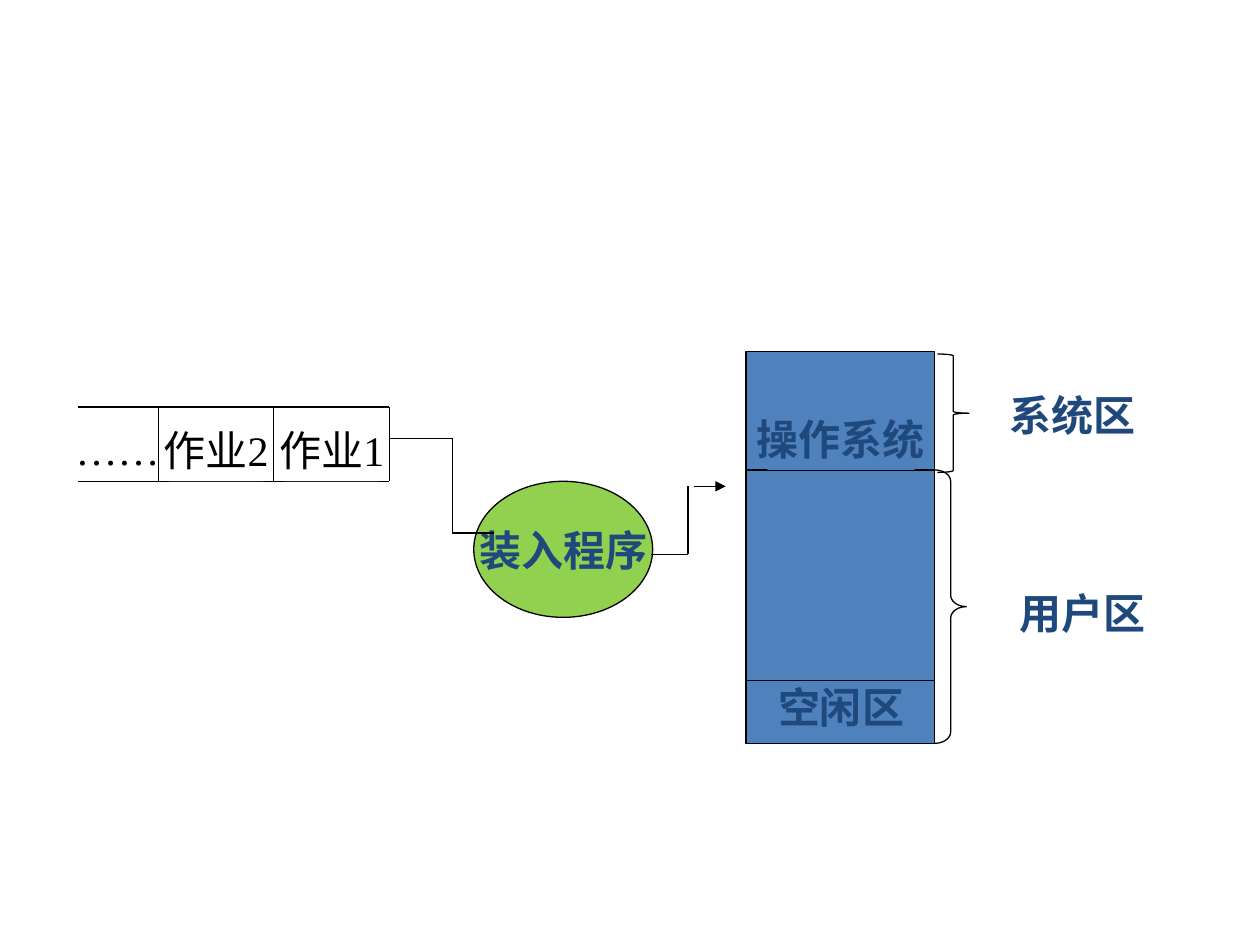
from lxml import etree
from pptx import Presentation
from pptx.dml.color import RGBColor
from pptx.enum.shapes import MSO_CONNECTOR, MSO_SHAPE
from pptx.enum.text import MSO_ANCHOR, PP_ALIGN
from pptx.oxml.ns import qn
from pptx.util import Inches, Pt

BLACK = RGBColor(0x00, 0x00, 0x00)
WHITE = RGBColor(0xFF, 0xFF, 0xFF)
NAVY = RGBColor(0x1F, 0x49, 0x7D)
BLUE = RGBColor(0x4F, 0x81, 0xBD)
GREEN = RGBColor(0x92, 0xD0, 0x50)
STRAIGHT = MSO_CONNECTOR.STRAIGHT
RECTANGLE = MSO_SHAPE.RECTANGLE
OVAL = MSO_SHAPE.OVAL
RIGHT_BRACE = MSO_SHAPE.RIGHT_BRACE
MIDDLE = MSO_ANCHOR.MIDDLE
TOP = MSO_ANCHOR.TOP
CENTER = PP_ALIGN.CENTER
SERIF = "Times New Roman"
LINE_WIDTH = Pt(0.75)

QUEUE_LEFT, QUEUE_RIGHT = 0.62, 3.09
QUEUE_TOP, QUEUE_BOTTOM = 3.23, 3.82
MEMORY_LEFT, MEMORY_WIDTH = 5.92, 1.5
MEMORY_RIGHT = MEMORY_LEFT + MEMORY_WIDTH
MEMORY_TOP, MEMORY_BOTTOM = 2.79, 5.9
SYSTEM_BOTTOM, FREE_TOP = 3.73, 5.4


def add_line(slide, start, end, arrow=False):
    points = [Inches(value) for value in (*start, *end)]
    connector = slide.shapes.add_connector(STRAIGHT, *points)
    connector.line.color.rgb = BLACK
    connector.line.width = LINE_WIDTH
    properties = connector.line._get_or_add_ln()
    if arrow:
        etree.SubElement(properties, qn("a:tailEnd"), type="triangle")
    etree.SubElement(properties.getparent(), qn("a:effectLst"))


def add_path(slide, points, arrow=False):
    for start, end in zip(points, points[1:]):
        add_line(slide, start, end, arrow)


def add_figure(slide, kind, box, fill=None, outlined=False):
    shape = slide.shapes.add_shape(kind, *[Inches(value) for value in box])
    shape.shadow.inherit = False
    if fill is None:
        shape.fill.background()
    else:
        shape.fill.solid()
        shape.fill.fore_color.rgb = fill
    if outlined:
        shape.line.color.rgb = BLACK
        shape.line.width = LINE_WIDTH
    else:
        shape.line.fill.background()
    return shape


def write_text(shape, text, color=NAVY, bold=True, font=SERIF, anchor=MIDDLE, wrap=False):
    frame = shape.text_frame
    frame.word_wrap = wrap
    frame.vertical_anchor = anchor
    paragraph = frame.paragraphs[0]
    paragraph.text = text
    paragraph.alignment = CENTER
    paragraph.font.name = font
    paragraph.font.size = Pt(24)
    paragraph.font.bold = bold
    paragraph.font.color.rgb = color


def add_label(slide, box, text, **style):
    label = slide.shapes.add_textbox(*[Inches(value) for value in box])
    write_text(label, text, **style)


def add_brace(slide, box, curve):
    brace = add_figure(slide, RIGHT_BRACE, box, outlined=True)
    brace.adjustments[0] = curve
    brace.adjustments[1] = 0.5


def add_job_queue(slide):
    for y in (QUEUE_TOP, QUEUE_BOTTOM):
        add_line(slide, (QUEUE_LEFT, y), (QUEUE_RIGHT, y))
    for x in (QUEUE_RIGHT, 1.26, 2.17):
        add_line(slide, (x, QUEUE_TOP), (x, QUEUE_BOTTOM))
    jobs = [
        ("……", (QUEUE_LEFT, 3.4, 0.63, 0.33)),
        ("作业2", (1.34, 3.32, 0.75, 0.5)),
        ("作业1", (2.26, 3.32, 0.75, 0.5)),
    ]
    for text, box in jobs:
        job = add_figure(slide, RECTANGLE, box, WHITE)
        write_text(job, text, BLACK, False)


def add_memory(slide):
    height = MEMORY_BOTTOM - MEMORY_TOP
    box = (MEMORY_LEFT, MEMORY_TOP, MEMORY_WIDTH, height)
    add_figure(slide, RECTANGLE, box, BLUE, True)
    for y in (SYSTEM_BOTTOM, FREE_TOP):
        add_line(slide, (MEMORY_LEFT, y), (MEMORY_RIGHT, y))
    for text, top, height in (("操作系统", 3.23, 0.5), ("空闲区", 5.48, 0.25)):
        area = add_figure(slide, RECTANGLE, (6.09, top, 1.17, height), BLUE)
        write_text(area, text)


def add_area_labels(slide):
    user_height = MEMORY_BOTTOM - SYSTEM_BOTTOM
    add_brace(slide, (MEMORY_RIGHT, SYSTEM_BOTTOM, 0.25, user_height), 0.36)
    add_label(slide, (7.84, 4.65, 1.5, 0.42), "用户区")
    add_brace(slide, (7.44, 2.81, 0.25, 0.94), 0.06)
    add_label(slide, (7.84, 3.04, 1.34, 0.5), "系统区",
              font="Montserrat", anchor=TOP, wrap=True)


def main():
    presentation = Presentation()
    presentation.slide_width = Inches(10)
    presentation.slide_height = Inches(7.5)
    slide = presentation.slides.add_slide(presentation.slide_layouts[6])
    add_job_queue(slide)
    loader = add_figure(slide, OVAL, (3.76, 3.82, 1.42, 1.08), GREEN, True)
    write_text(loader, "装入程序")
    add_memory(slide)
    add_path(slide, [(QUEUE_RIGHT, 3.48), (3.59, 3.48), (3.59, 4.23), (3.92, 4.23)])
    add_path(slide, [(5.17, 4.4), (5.46, 4.4), (5.46, 3.86)])
    add_path(slide, [(5.51, 3.86), (5.76, 3.86)], arrow=True)
    add_area_labels(slide)
    presentation.save("out.pptx")


if __name__ == "__main__":
    main()
